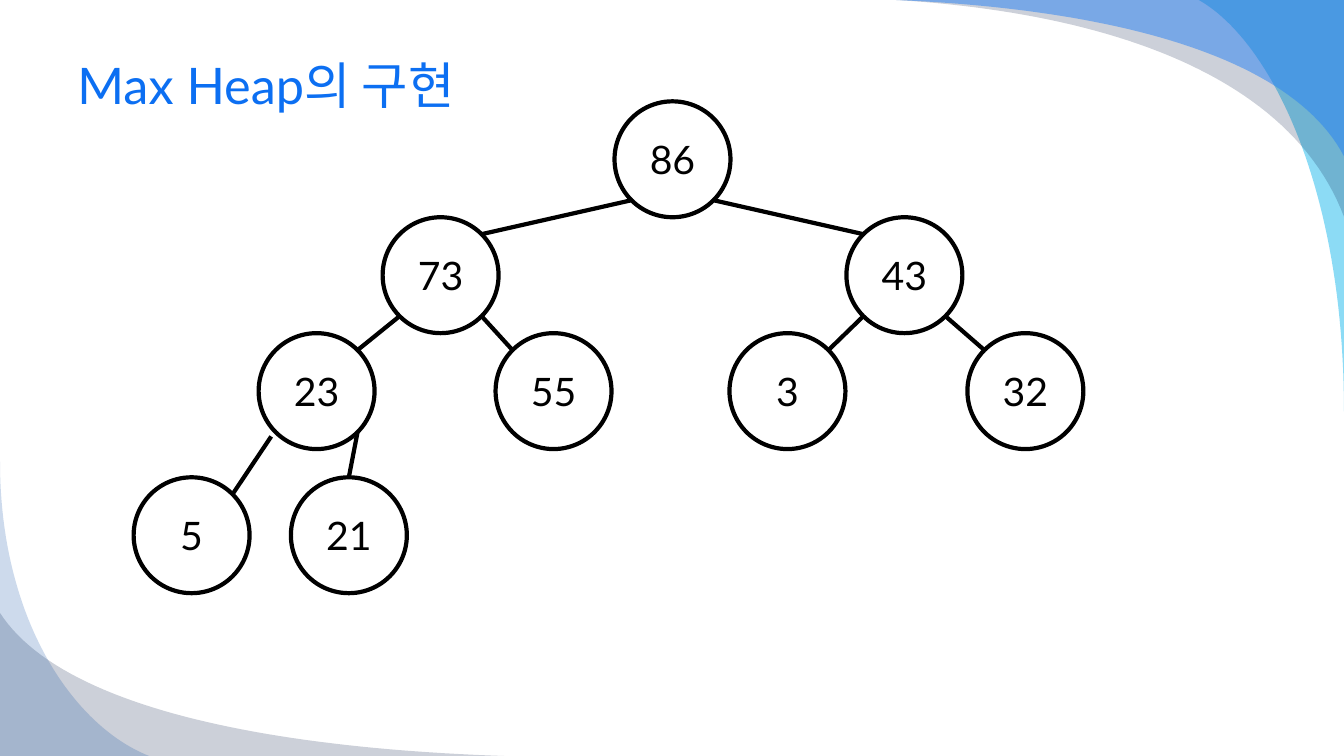
from dataclasses import dataclass
from math import sqrt

from lxml.etree import SubElement
from pptx import Presentation
from pptx.dml.color import RGBColor
from pptx.enum.shapes import MSO_CONNECTOR as Connector, MSO_SHAPE as Preset
from pptx.enum.text import MSO_ANCHOR as Anchor, PP_ALIGN as Align
from pptx.oxml.ns import qn
from pptx.util import Inches, Pt


@dataclass(frozen=True)
class Theme:
    font: str = "Lato"
    title_color: str = "0C6FF2"
    ink: str = "000000"
    paper: str = "FFFFFF"
    teal: str = "00B1E9"
    navy: str = "021741"
    azure: str = "247FF4"
    cobalt: str = "084AA1"
    title_size: float = 36
    node_size: float = 28
    stroke: float = 3


# The grid has cells of one inch; all lengths are columns and rows of it.
COLUMNS, ROWS = 13.33, 7.5
NODE = 1.15
DIAGONAL = NODE / 2 / sqrt(2)
CURVE_STEPS = 48


def bezier(start, pull_a, pull_b, end):
    """Points along a cubic curve, both ends included."""
    points = []
    for step in range(CURVE_STEPS + 1):
        t = step / CURVE_STEPS
        weights = ((1 - t) ** 3, 3 * t * (1 - t) ** 2, 3 * t ** 2 * (1 - t), t ** 3)
        controls = (start, pull_a, pull_b, end)
        points.append(tuple(sum(w * c[axis] for w, c in zip(weights, controls))
                            for axis in (0, 1)))
    return points


class SlideBuilder:
    def __init__(self, page, theme):
        self.page, self.theme = page, theme

    def fill(self, shape, color):
        shape.shadow.inherit = False
        shape.fill.solid()
        shape.fill.fore_color.rgb = RGBColor.from_string(color)

    def stroke(self, line):
        line.color.rgb = RGBColor.from_string(self.theme.ink)
        line.width = Pt(self.theme.stroke)

    def set_text(self, shape, text, size, color, align):
        frame = shape.text_frame
        frame.word_wrap = True
        frame.vertical_anchor = Anchor.MIDDLE
        para = frame.paragraphs[0]
        para.text, para.alignment = text, align
        para.font.name, para.font.size = self.theme.font, Pt(size)
        para.font.color.rgb = RGBColor.from_string(color)

    def title(self, text, left, top, width, height):
        box = self.page.shapes.add_textbox(*map(Inches, (left, top, width, height)))
        self.set_text(box, text, self.theme.title_size, self.theme.title_color, Align.LEFT)

    def swoosh(self, corner, curve, color, opacity):
        """A see-through patch between a slide corner and a curve."""
        outline = [(Inches(x), Inches(y)) for x, y in bezier(*curve)]
        builder = self.page.shapes.build_freeform(Inches(corner[0]), Inches(corner[1]))
        builder.add_line_segments(outline, close=True)
        shape = builder.convert_to_shape()
        self.fill(shape, color)
        shape.line.fill.background()
        tint = shape._element.spPr.find(qn("a:solidFill"))[0]
        SubElement(tint, qn("a:alpha")).set("val", str(opacity * 1000))

    def node(self, value, center):
        left, top = (place - NODE / 2 for place in center)
        circle = self.page.shapes.add_shape(
            Preset.OVAL, *map(Inches, (left, top, NODE, NODE)))
        self.fill(circle, self.theme.paper)
        self.stroke(circle.line)
        self.set_text(circle, str(value), self.theme.node_size, self.theme.ink, Align.CENTER)

    def edge(self, start, end):
        line = self.page.shapes.add_connector(
            Connector.STRAIGHT, *map(Inches, (*start, *end)))
        self.stroke(line.line)
        SubElement(line._element.spPr, qn("a:effectLst"))


def rim(center, across, down):
    """The diagonal point of a circle on the side given by two signs."""
    return center[0] + across * DIAGONAL, center[1] + down * DIAGONAL


def main():
    theme = Theme()
    deck = Presentation()
    deck.slide_width, deck.slide_height = Inches(COLUMNS), Inches(ROWS)
    builder = SlideBuilder(deck.slides.add_slide(deck.slide_layouts[6]), theme)

    top_right, bottom_left = (COLUMNS, 0), (0, ROWS)
    swooshes = [
        (top_right, ((11.89, 0), (12.61, 0.41), (COLUMNS, 1.88), (COLUMNS, 4.08)),
         theme.teal, 45),
        (top_right, ((8.89, 0), (11, 0.13), (12.8, 0.75), (COLUMNS, 2.15)),
         theme.navy, 20),
        (top_right, ((8.89, 0), (11, 0.09), (12.8, 0.54), (COLUMNS, 1.55)),
         theme.azure, 49),
        (bottom_left, ((0, 6.08), (0.6, 7.01), (2.62, 7.42), (5, ROWS)),
         theme.navy, 20),
        (bottom_left, ((0, 4.58), (0, 6.16), (0.74, 7.21), (1.48, ROWS)),
         theme.cobalt, 20),
    ]
    for swoosh in swooshes:
        builder.swoosh(*swoosh)

    builder.title("Max Heap의 구현", 0.67, 0.33, 12, 1.01)

    # Heap order: the children of item i are items 2i + 1 and 2i + 2.
    heap = [86, 73, 43, 23, 55, 3, 32, 5, 21]
    center_columns = [6.67, 4.37, 8.97, 3.14, 5.49, 7.81, 10.17, 1.9, 3.46]
    level_rows = [1.58, 2.73, 3.88, 5.31]
    centers = [(column, level_rows[(index + 1).bit_length() - 1])
               for index, column in enumerate(center_columns)]
    for value, center in zip(heap, centers):
        builder.node(value, center)

    last = len(heap) - 1
    for child in range(1, last + 1):
        side = -1 if child % 2 else 1
        start = rim(centers[(child - 1) // 2], side, 1)
        end = rim(centers[child], -side, -1)
        if child == last - 1:
            start = (2.69, 4.33)
        elif child == last:
            end = (centers[child][0], centers[child][1] - NODE / 2)
        builder.edge(start, end)

    deck.save("out.pptx")


if __name__ == "__main__":
    main()
